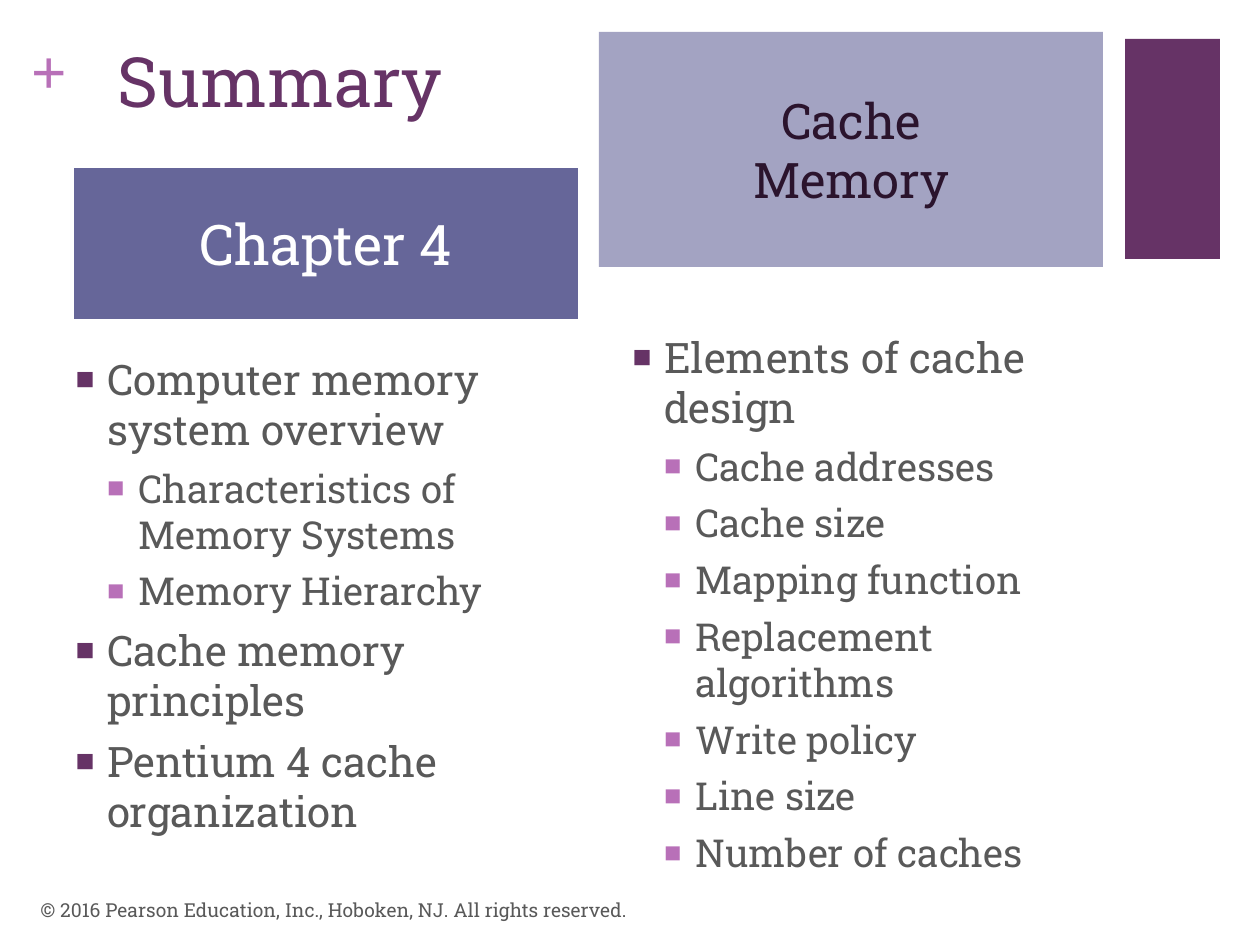
from lxml import etree
from pptx import Presentation
from pptx.dml.color import RGBColor
from pptx.enum import shapes, text
from pptx.oxml.ns import qn
from pptx.util import Emu, Pt

PX = 914400 / 126
FONT = "Roboto Slab"
COLORS = {
    "plum": "663366", "orchid": "B870B8", "slate": "666699",
    "lavender": "A3A3C2", "ink": "2B142D", "gray": "595959", "white": "FFFFFF",
}
# Outline level: text size, bullet colour
LEVELS = [(24, "plum"), (22, "orchid")]
LEFT_LIST = [
    (0, "Computer memory system overview"),
    (1, "Characteristics of Memory Systems"),
    (1, "Memory Hierarchy"),
    (0, "Cache memory principles"),
    (0, "Pentium 4 cache organization"),
]
RIGHT_LIST = [(0, "Elements of cache design")] + [(1, item) for item in (
    "Cache addresses", "Cache size", "Mapping function",
    "Replacement algorithms", "Write policy", "Line size", "Number of caches")]


def px(length):
    return Emu(round(length * PX))


def color(name):
    return RGBColor.from_string(COLORS[name])


def place(shape, box):
    shape.left, shape.top, shape.width, shape.height = map(px, box)


def set_frame(shape, anchor=text.MSO_ANCHOR.TOP):
    frame = shape.text_frame
    frame.word_wrap = True
    frame.auto_size = text.MSO_AUTO_SIZE.NONE
    frame.vertical_anchor = anchor
    return frame


def add_span(para, words, size, fill, font=FONT, bold=False):
    span = para.add_run()
    span.text = words
    span.font.size, span.font.name, span.font.bold = Pt(size), font, bold
    span.font.color.rgb = color(fill)


def next_para(frame, index):
    return frame.add_paragraph() if index else frame.paragraphs[0]


def add_bullet(para, level, fill):
    props = para._p.get_or_add_pPr()
    props.set("marL", str(px(31.5 * (level + 1))))
    props.set("indent", str(-px(31.5)))
    bullet_color = etree.SubElement(props, qn("a:buClr"))
    etree.SubElement(bullet_color, qn("a:srgbClr"), val=COLORS[fill])
    etree.SubElement(props, qn("a:buSzPct"), val="75000")
    etree.SubElement(props, qn("a:buFont"), typeface="Arial")
    etree.SubElement(props, qn("a:buChar"), char="■")


def fill_title(title, box):
    place(title, box)
    para = set_frame(title).paragraphs[0]
    para.alignment = text.PP_ALIGN.LEFT
    add_span(para, "Summary", 39.6, "plum")


def fill_heading(heading, box, lines, size, fill, ink):
    place(heading, box)
    heading.fill.solid()
    heading.fill.fore_color.rgb = color(fill)
    frame = set_frame(heading, text.MSO_ANCHOR.MIDDLE)
    frame.margin_top = frame.margin_bottom = 0
    for index, line in enumerate(lines):
        para = next_para(frame, index)
        para.alignment = text.PP_ALIGN.CENTER
        para.space_before = Pt(0)
        add_span(para, line, size, ink)


def fill_list(body, box, items):
    place(body, box)
    frame = set_frame(body)
    for index, (level, words) in enumerate(items):
        size, bullet = LEVELS[level]
        para = next_para(frame, index)
        para.level = level
        para.space_before = Pt(6 if index else 0)
        add_bullet(para, level, bullet)
        add_span(para, words, size, "gray")


def add_decoration(page, bar_box, plus_box):
    bar = page.shapes.add_shape(shapes.MSO_SHAPE.RECTANGLE, *map(px, bar_box))
    bar.shadow.inherit = False
    bar.fill.solid()
    bar.fill.fore_color.rgb = color("plum")
    bar.line.fill.background()

    plus = page.shapes.add_textbox(*map(px, plus_box))
    frame = set_frame(plus)
    frame.margin_left = frame.margin_right = 0
    frame.margin_top = frame.margin_bottom = 0
    add_span(frame.paragraphs[0], "+", 36, "orchid", "Times New Roman", True)


def add_copyright(page, box):
    note = page.shapes.add_textbox(*map(px, box))
    frame = set_frame(note, text.MSO_ANCHOR.MIDDLE)
    add_span(frame.paragraphs[0],
             "© 2016 Pearson Education, Inc., Hoboken, NJ. All rights reserved.",
             11, "gray")


def main():
    deck = Presentation()
    deck.slide_width, deck.slide_height = px(1260), px(945)
    page = deck.slides.add_slide(deck.slide_layouts.get_by_name("Comparison"))
    title, left_head, left_body, right_head, right_body = page.placeholders

    # Title and corner marks
    add_decoration(page, (1125, 39, 95, 220), (31, 32, 37, 77))
    fill_title(title, (105, 32, 472, 154))

    # Two columns, each a heading over a list
    fill_heading(left_head, (74, 168, 504, 151), ["Chapter 4"], 32, "slate", "white")
    fill_list(left_body, (63, 347, 504, 598), LEFT_LIST)
    fill_heading(right_head, (599, 32, 504, 235), ["Cache", "Memory"], 28, "lavender", "ink")
    fill_list(right_body, (620, 325, 525, 651), RIGHT_LIST)

    # Footer
    add_copyright(page, (28, 885, 844, 50))
    deck.save("out.pptx")


if __name__ == "__main__":
    main()
